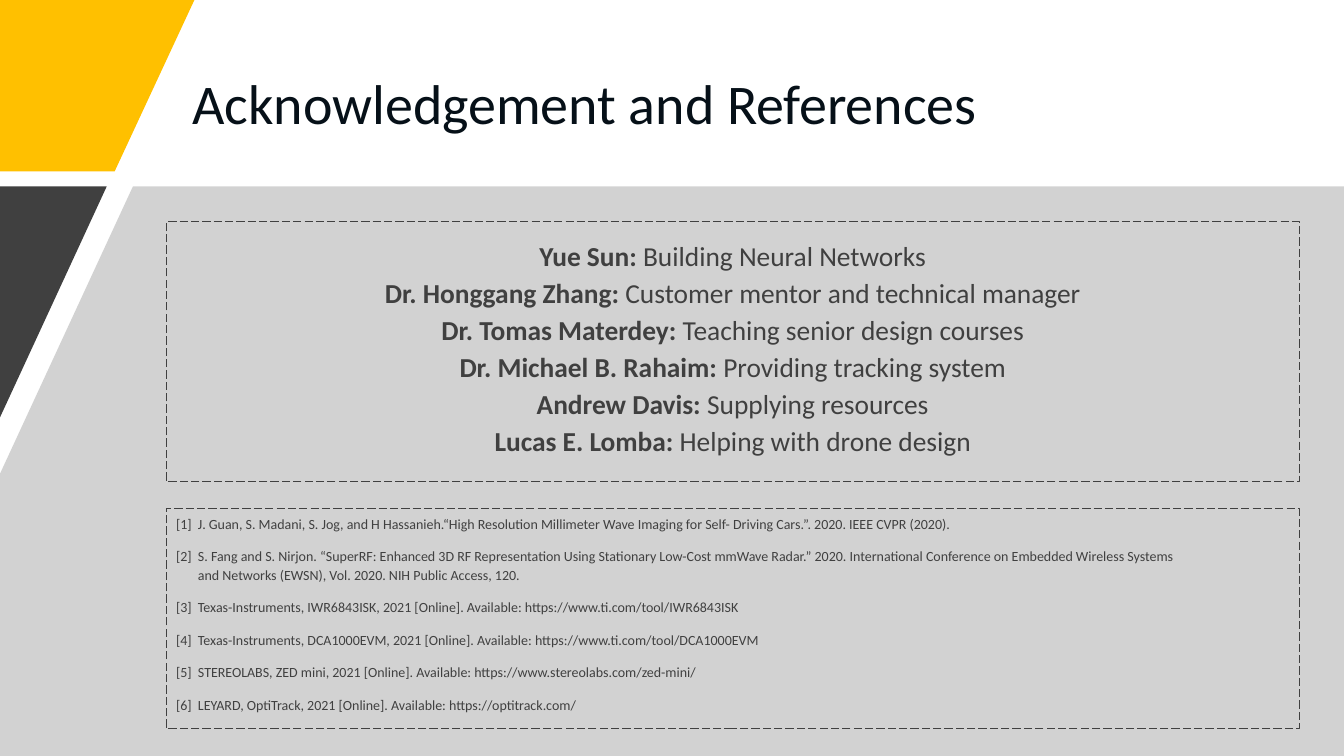
from lxml import etree
from pptx import Presentation
from pptx.dml.color import RGBColor
from pptx.enum.dml import MSO_LINE
from pptx.enum.shapes import MSO_SHAPE
from pptx.enum.text import MSO_ANCHOR, PP_ALIGN
from pptx.oxml.ns import qn
from pptx.util import Cm, Pt

FONT = "Calibri"
NAVY = RGBColor(0x06, 0x10, 0x18)
YELLOW = RGBColor(0xFF, 0xC0, 0x00)
GRAY = RGBColor(0xA6, 0xA6, 0xA6)
DARK = RGBColor(0x40, 0x40, 0x40)

WIDTH, HEIGHT = 33.87, 19.05
BAND_TOP = 4.7
BOX_LEFT, BOX_WIDTH = 4.19, 28.55

THANKS = [
    ("Yue Sun:", "Building Neural Networks"),
    ("Dr. Honggang Zhang:", "Customer mentor and technical manager"),
    ("Dr. Tomas Materdey:", "Teaching senior design courses"),
    ("Dr. Michael B. Rahaim:", "Providing tracking system"),
    ("Andrew Davis:", "Supplying resources"),
    ("Lucas E. Lomba:", "Helping with drone design"),
]

# A "\v" is a line break inside one reference
REFERENCES = [
    "J. Guan, S. Madani, S. Jog, and H Hassanieh.“High Resolution Millimeter Wave "
    "Imaging for Self- Driving Cars.”. 2020. IEEE CVPR (2020).",
    "S. Fang and S. Nirjon. “SuperRF: Enhanced 3D RF Representation Using Stationary "
    "Low-Cost mmWave Radar.” 2020. International Conference on Embedded Wireless Systems"
    "\vand Networks (EWSN), Vol. 2020. NIH Public Access, 120.",
    "Texas-Instruments, IWR6843ISK, 2021 [Online]. Available: "
    "https://www.ti.com/tool/IWR6843ISK",
    "Texas-Instruments, DCA1000EVM, 2021 [Online]. Available: "
    "https://www.ti.com/tool/DCA1000EVM",
    "STEREOLABS, ZED mini, 2021 [Online]. Available: https://www.stereolabs.com/zed-mini/",
    "LEYARD, OptiTrack, 2021 [Online]. Available: https://optitrack.com/",
]


def add_run(p, text, size, color, bold=False):
    r = p.add_run()
    r.text = text
    r.font.name = FONT
    r.font.size = Pt(size)
    r.font.bold = bold
    r.font.color.rgb = color


def add_paragraph(tf, index, align, spacing):
    p = tf.add_paragraph() if index else tf.paragraphs[0]
    p.alignment = align
    p.line_spacing = spacing
    p.space_before = Pt(10 if index else 0)
    return p


def add_polygon(s, left, top, points, color):
    start, *rest = [(Cm(left + x), Cm(top + y)) for x, y in points]
    builder = s.shapes.build_freeform(*start)
    builder.add_line_segments(rest, close=True)
    sp = builder.convert_to_shape()
    sp.shadow.inherit = False
    sp.fill.solid()
    sp.fill.fore_color.rgb = color
    sp.line.fill.background()
    return sp


def add_dashed_box(s, left, top, width, height, anchor):
    sp = s.shapes.add_shape(
        MSO_SHAPE.RECTANGLE, Cm(left), Cm(top), Cm(width), Cm(height))
    sp.shadow.inherit = False
    sp.fill.background()
    sp.line.color.rgb = DARK
    sp.line.width = Pt(0.75)
    sp.line.dash_style = MSO_LINE.LONG_DASH
    tf = sp.text_frame
    tf.word_wrap = True
    tf.vertical_anchor = anchor
    return tf


def add_title(s, left, top, width, height):
    tf = s.shapes.add_textbox(Cm(left), Cm(top), Cm(width), Cm(height)).text_frame
    tf.word_wrap = True
    tf.vertical_anchor = MSO_ANCHOR.MIDDLE
    p = add_paragraph(tf, 0, PP_ALIGN.LEFT, 0.9)
    add_run(p, "Acknowledgement and References", 40, NAVY)


def add_corner(s, left, top, width, height):
    slant = 2.01
    add_polygon(s, left, top, [
        (0, 0), (width, 0), (width - slant, height), (0, height)], YELLOW)


def add_band(s, left, top, width, height):
    # Half-transparent gray field with its upper left corner cut off
    cut_x, cut_y = 3.35, 7.24
    field = add_polygon(s, left, top, [
        (cut_x, 0), (width, 0), (width, height), (0, height), (0, cut_y)], GRAY)
    rgb = field.fill._xPr.find(qn("a:solidFill"))[0]
    etree.SubElement(rgb, qn("a:alpha")).set("val", "50000")
    # Dark wedge inside the cut
    add_polygon(s, left, top, [(0, 0), (2.69, 0), (0, 5.82)], DARK)


def add_thanks(s, left, top, width, height):
    tf = add_dashed_box(s, left, top, width, height, MSO_ANCHOR.MIDDLE)
    for i, (name, role) in enumerate(THANKS):
        p = add_paragraph(tf, i, PP_ALIGN.CENTER, 0.7)
        add_run(p, name + " ", 19.6, DARK, bold=True)
        add_run(p, role, 19.6, DARK)


def add_references(s, left, top, width, height):
    tf = add_dashed_box(s, left, top, width, height, MSO_ANCHOR.TOP)
    hang = Cm(0.55)
    for i, reference in enumerate(REFERENCES):
        p = add_paragraph(tf, i, PP_ALIGN.LEFT, 1.1)
        pPr = p._p.get_or_add_pPr()
        pPr.set("marL", str(hang))
        pPr.set("indent", str(-hang))
        for j, line in enumerate(reference.split("\v")):
            if j:
                p.add_line_break()
            add_run(p, line if j else f"[{i + 1}]\t{line}", 10, DARK)


def main():
    prs = Presentation()
    prs.slide_width, prs.slide_height = Cm(WIDTH), Cm(HEIGHT)
    s = prs.slides.add_slide(prs.slide_layouts[6])
    add_title(s, 4.6, 1.02, 26, 3.3)
    add_corner(s, 0, 0, 4.9, 4.32)
    add_band(s, 0, BAND_TOP, WIDTH, HEIGHT - BAND_TOP)
    add_references(s, BOX_LEFT, 12.82, BOX_WIDTH, 5.54)
    add_thanks(s, BOX_LEFT, 5.59, BOX_WIDTH, 6.55)
    prs.save("out.pptx")


if __name__ == "__main__":
    main()
